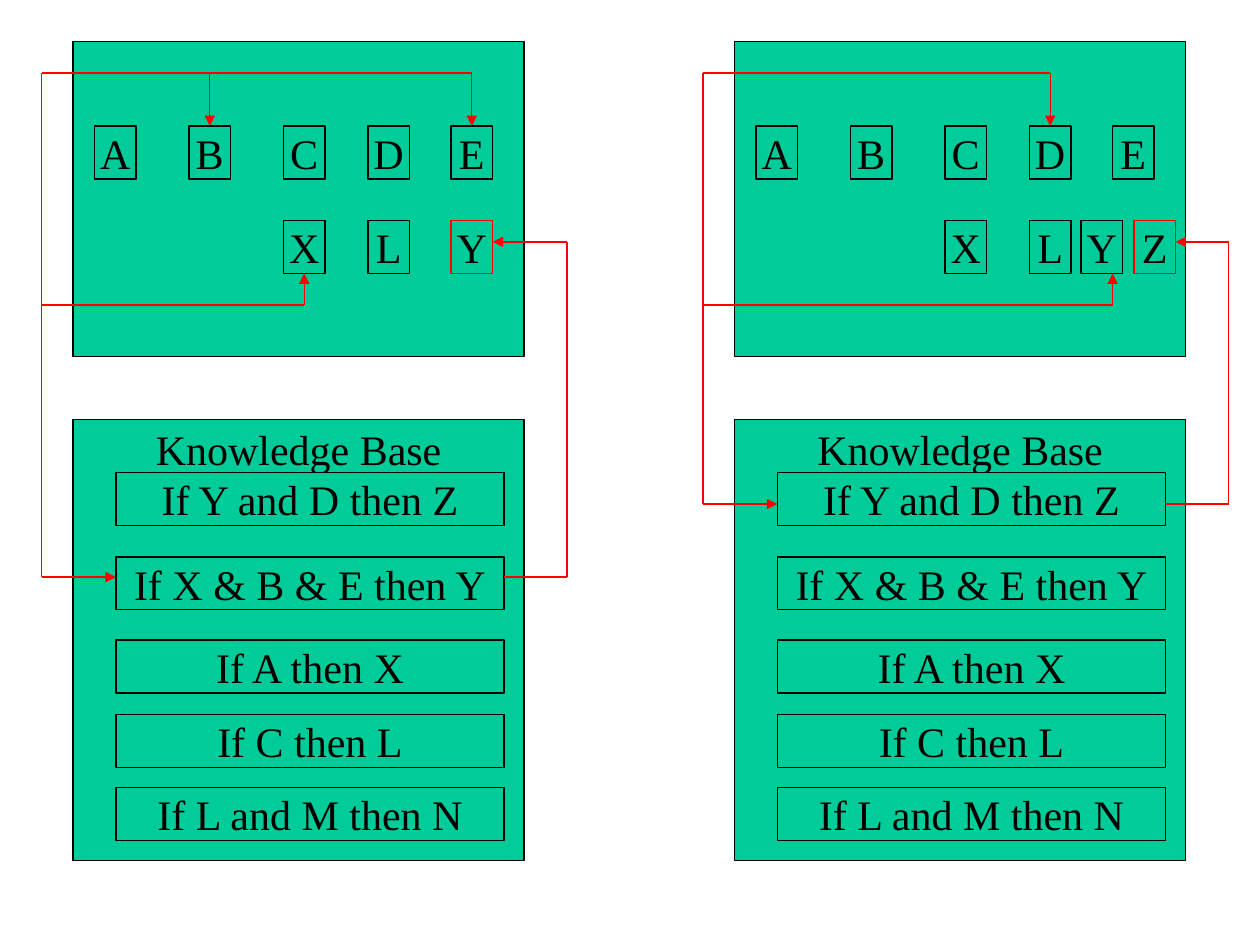
"""Build a slide showing two steps of forward chaining over a knowledge base."""
import dataclasses

import lxml.etree
import pptx
import pptx.dml.color
import pptx.enum.shapes
import pptx.enum.text
import pptx.oxml.ns
import pptx.util

Inches = pptx.util.Inches
Anchor = pptx.enum.text.MSO_ANCHOR
TOP, BOTTOM = 0, 2


@dataclasses.dataclass(frozen=True)
class Theme:
    """Colours, font and sizes of the slide."""
    panel: str = "00CC99"
    ink: str = "000000"
    active: str = "FF0000"
    font: str = "Times New Roman"
    text_size: float = 24
    line_width: float = 0.75


class Board:
    """Hold the theme and the current page, and draw boxes and links."""

    def __init__(self, page, theme):
        self.page = page
        self.theme = theme

    def colour(self, value):
        """Turn a hex value into a colour."""
        return pptx.dml.color.RGBColor.from_string(value)

    def style_line(self, line, value):
        """Give a line its colour and width."""
        line.color.rgb = self.colour(value)
        line.width = pptx.util.Pt(self.theme.line_width)

    def box(self, left, top, width, height, text="", outline=None, anchor=Anchor.MIDDLE):
        """Draw a filled rectangle with optional centred text."""
        box = self.page.shapes.add_shape(
            pptx.enum.shapes.MSO_SHAPE.RECTANGLE,
            *(Inches(value) for value in (left, top, width, height)))
        box.shadow.inherit = False
        box.fill.solid()
        box.fill.fore_color.rgb = self.colour(self.theme.panel)
        self.style_line(box.line, outline or self.theme.ink)
        if text:
            frame = box.text_frame
            layout = {"word_wrap": False, "vertical_anchor": anchor,
                      "margin_top": Inches(0.03), "margin_bottom": Inches(0.03)}
            for name, value in layout.items():
                setattr(frame, name, value)
            para = frame.paragraphs[0]
            para.alignment = pptx.enum.text.PP_ALIGN.CENTER
            span = para.add_run()
            span.text = text
            look = {"name": self.theme.font, "size": pptx.util.Pt(self.theme.text_size)}
            for name, value in look.items():
                setattr(span.font, name, value)
            span.font.color.rgb = self.colour(self.theme.ink)
        return box

    def link(self, start, end, arrow=False):
        """Draw a straight line between two points."""
        link = self.page.shapes.add_connector(
            pptx.enum.shapes.MSO_CONNECTOR.STRAIGHT,
            *(Inches(value) for value in (*start, *end)))
        self.style_line(link.line, self.theme.active)
        if arrow:
            lxml.etree.SubElement(link.line._get_or_add_ln(),
                                  pptx.oxml.ns.qn("a:tailEnd"), type="triangle")
        lxml.etree.SubElement(link._element.spPr, pptx.oxml.ns.qn("a:effectLst"))
        return link

    def route(self, *points):
        """Draw a run of lines that ends in an arrow."""
        for index, (start, end) in enumerate(zip(points, points[1:]), 2):
            self.link(start, end, arrow=index == len(points))

    def join(self, box, site, level):
        """Draw an arrow from a level to the middle of a box side and return its x."""
        centre = (box.left + box.width / 2) / Inches(1)
        link = self.link((centre, level), (centre, level), arrow=True)
        link.end_connect(box, site)
        return centre


FACT_WIDTH, BOX_HEIGHT = 0.33, 0.42
FACT_TOP, DERIVED_TOP = 1, 1.75
FACTS = {"A": 0.75, "B": 1.5, "C": 2.25, "D": 2.92, "E": 3.58}
RULES = {"If Y and D then Z": 3.75, "If X & B & E then Y": 4.42, "If A then X": 5.08,
         "If C then L": 5.67, "If L and M then N": 6.25}
RULE_LEFT, RULE_WIDTH = 0.92, 3.08
BUS_LEFT, BUS_RIGHT = 0.33, 4.5
UPPER_LEVEL, LOWER_LEVEL, RESULT_LEVEL = 0.58, 2.42, 1.92

STEPS = [
    {"origin": 0, "derived": {"X": 2.25, "L": 2.92, "Y": 3.58}, "result": "Y",
     "rule_level": 4.58, "used": ["B", "E"], "premise": "X", "premise_x": None},
    {"origin": 5.25, "derived": {"X": 2.25, "L": 2.92, "Y": 3.33, "Z": 3.75}, "result": "Z",
     "rule_level": 4, "used": ["D"], "premise": "Y", "premise_x": 3.58},
]


def draw_step(board, origin, derived, result, rule_level, used, premise, premise_x):
    """Draw the facts, the rules and the links of one inference step."""
    board.box(origin + 0.58, 0.33, 3.58, 2.5)
    board.box(origin + 0.58, 3.33, 3.58, 3.5, "Knowledge Base", anchor=Anchor.TOP)
    boxes = {}
    for facts, top in ((FACTS, FACT_TOP), (derived, DERIVED_TOP)):
        for name, left in facts.items():
            outline = board.theme.active if name == result else None
            boxes[name] = board.box(origin + left, top, FACT_WIDTH, BOX_HEIGHT, name, outline)
    for text, top in RULES.items():
        board.box(origin + RULE_LEFT, top, RULE_WIDTH, BOX_HEIGHT, text)

    bus, outlet = origin + BUS_LEFT, origin + BUS_RIGHT
    far_end = max(board.join(boxes[name], TOP, UPPER_LEVEL) for name in used)
    board.route((far_end, UPPER_LEVEL), (bus, UPPER_LEVEL), (bus, rule_level),
                (origin + RULE_LEFT, rule_level))
    if premise_x is None:
        lower_end = board.join(boxes[premise], BOTTOM, LOWER_LEVEL)
    else:
        lower_end = origin + premise_x
        board.route((lower_end, LOWER_LEVEL), (lower_end, DERIVED_TOP + BOX_HEIGHT))
    board.link((lower_end, LOWER_LEVEL), (bus, LOWER_LEVEL))
    board.route((origin + RULE_LEFT + RULE_WIDTH, rule_level), (outlet, rule_level),
                (outlet, RESULT_LEVEL),
                (origin + derived[result] + FACT_WIDTH, RESULT_LEVEL))


def main():
    """Build and save the deck."""
    deck = pptx.Presentation()
    deck.slide_width, deck.slide_height = Inches(10), Inches(7.5)
    board = Board(deck.slides.add_slide(deck.slide_layouts[6]), Theme())
    for step in STEPS:
        draw_step(board, **step)
    deck.save("out.pptx")


if __name__ == "__main__":
    main()
